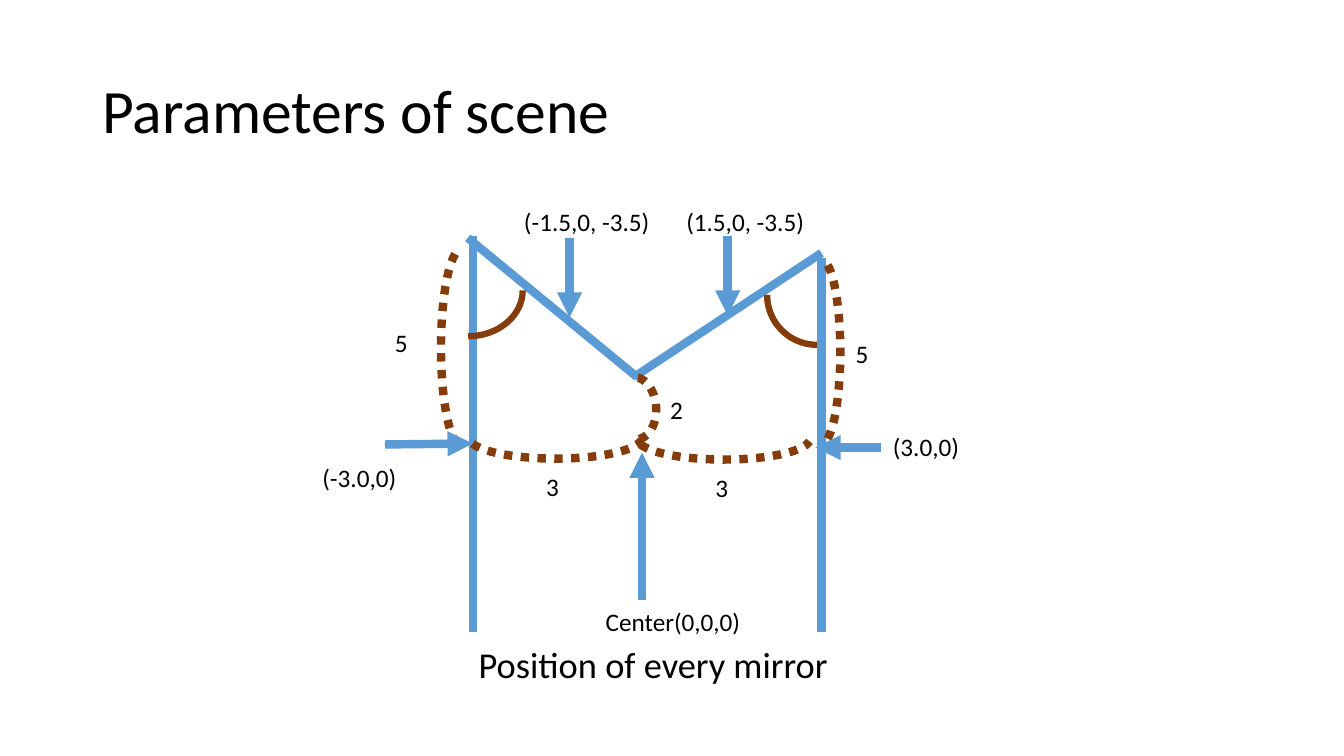
import pptx
import pptx.dml.color
import pptx.enum.dml
import pptx.enum.shapes
import pptx.enum.text
import pptx.oxml.ns
import pptx.util
from lxml import etree

Pt = pptx.util.Pt
BLUE = pptx.dml.color.RGBColor(0x5B, 0x9B, 0xD5)
BROWN = pptx.dml.color.RGBColor(0x84, 0x3C, 0x0B)
BLACK = pptx.dml.color.RGBColor(0, 0, 0)


class Sketch:
    font = "Calibri"
    label_size = 18
    line_width = 6
    angle_width = 4.5

    def __init__(self, page):
        self.page = page

    def text(self, words, left, top, width, height, size=label_size, wrap=False):
        box = self.page.shapes.add_textbox(Pt(left), Pt(top), Pt(width), Pt(height))
        frame = box.text_frame
        frame.text = words
        frame.word_wrap = wrap
        frame.auto_size = pptx.enum.text.MSO_AUTO_SIZE.SHAPE_TO_FIT_TEXT
        span = frame.paragraphs[0].runs[0]
        span.font.name = self.font
        span.font.size = Pt(size)
        span.font.color.rgb = BLACK
        return frame

    def title(self, words, left, top, width, height):
        frame = self.text(words, left, top, width, height, 44, True)
        frame.auto_size = pptx.enum.text.MSO_AUTO_SIZE.NONE
        frame.vertical_anchor = pptx.enum.text.MSO_ANCHOR.MIDDLE
        frame.paragraphs[0].line_spacing = 0.9

    def line(self, start_x, start_y, end_x, end_y):
        connector = self.page.shapes.add_connector(
            pptx.enum.shapes.MSO_CONNECTOR.STRAIGHT,
            Pt(start_x), Pt(start_y), Pt(end_x), Pt(end_y))
        connector.line.color.rgb = BLUE
        connector.line.width = Pt(self.line_width)
        etree.SubElement(connector._element.spPr, pptx.oxml.ns.qn("a:effectLst"))
        return connector

    def arrow(self, start_x, start_y, end_x, end_y):
        connector = self.line(start_x, start_y, end_x, end_y)
        outline = connector.line._get_or_add_ln()
        etree.SubElement(outline, pptx.oxml.ns.qn("a:tailEnd"), type="triangle")

    def arc(self, left, top, width, height, rotation, line_width=angle_width):
        shape = self.page.shapes.add_shape(
            pptx.enum.shapes.MSO_SHAPE.ARC, Pt(left), Pt(top), Pt(width), Pt(height))
        shape.shadow.inherit = False
        shape.rotation = rotation
        shape.fill.background()
        shape.line.color.rgb = BROWN
        shape.line.width = Pt(line_width)
        return shape

    def span_arc(self, left, top, width, height, rotation=0):
        shape = self.arc(left, top, width, height, rotation, self.line_width)
        shape.adjustments[0] = 110.55
        shape.adjustments[1] = 214.877
        shape.line.dash_style = pptx.enum.dml.MSO_LINE.ROUND_DOT
        shape._element.spPr.xfrm.set("flipV", "1")


MIRRORS = [
    (337.7, 168.5, 337.7, 451.4),
    (334.1, 169.9, 455, 269.3),
    (452.9, 269.3, 586.8, 180.7),
    (586.8, 184.3, 586.8, 451.4),
]
ANGLES = [
    (547.9, 175, 71.3, 71.3, 180),
    (301.7, 168.5, 65.5, 77.8, 90),
]
DISTANCES = [
    (455, 298.1, 123.8, 30.2),
    (334.8, 297.4, 123.8, 30.2),
    (431.3, 276.5, 44.6, 30.2, 266.4),
    (259.2, 233.3, 141.8, 30.2, 90),
    (520.6, 237.6, 131.8, 27.4, 270),
]
POINTERS = [
    (458.6, 428.4, 458.6, 323.3),
    (406.8, 169.9, 406.8, 226.8),
    (519.8, 168.5, 519.8, 225.4),
    (275, 317.5, 337.7, 316.8),
    (629.3, 319.7, 582.5, 319.7),
]
LABELS = [
    ("3", 504, 334.1, 23.8, 29),
    ("3", 383, 333.4, 23.8, 29),
    ("2", 471.6, 277.9, 23.8, 29),
    ("5", 604.1, 238.3, 45.4, 50.4),
    ("5", 275, 230.4, 45.4, 50.4),
    ("Center(0,0,0)", 425.5, 429.8, 111.6, 29),
    ("(-1.5,0, -3.5)", 367.2, 144, 105.1, 29),
    ("(1.5,0, -3.5)", 483.1, 144, 99.4, 29),
    ("(-3.0,0)", 223.2, 326.9, 67.7, 29),
    ("(3.0,0)", 630.7, 304.6, 62.6, 29),
]


def main():
    deck = pptx.Presentation()
    deck.slide_width = Pt(960)
    deck.slide_height = Pt(540)
    sketch = Sketch(deck.slides.add_slide(deck.slide_layouts[6]))
    sketch.title("Parameters of scene", 66, 28.8, 828, 104.4)
    for mirror in MIRRORS:
        sketch.line(*mirror)
    for angle in ANGLES:
        sketch.arc(*angle)
    for distance in DISTANCES:
        sketch.span_arc(*distance)
    for pointer in POINTERS:
        sketch.arrow(*pointer)
    for label in LABELS:
        sketch.text(*label)
    sketch.text("Position of every mirror", 334.8, 455, 339.1, 38.9, 26, True)
    deck.save("out.pptx")


if __name__ == "__main__":
    main()
